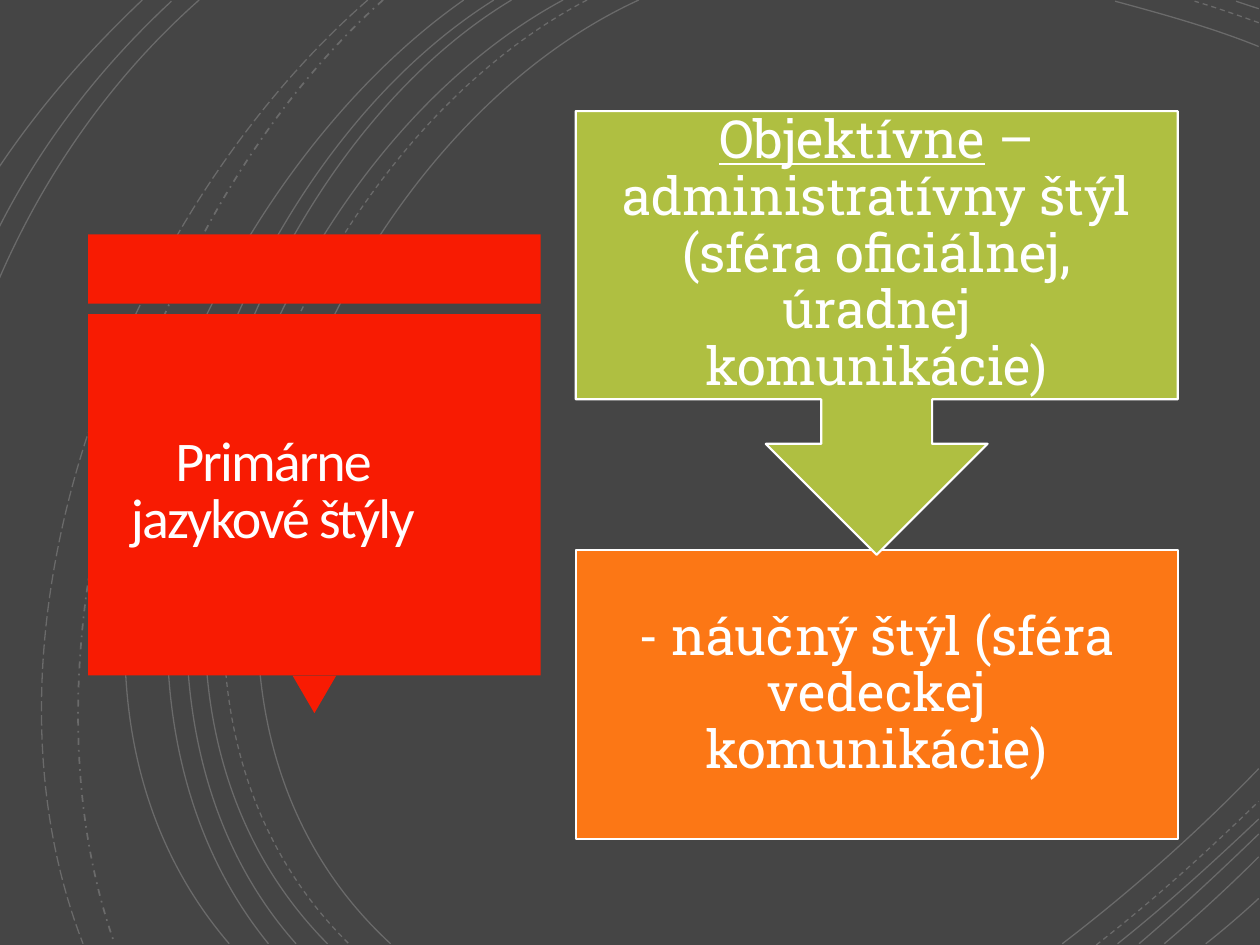
from dataclasses import dataclass

from lxml import etree
from pptx import Presentation
from pptx.dml.color import RGBColor
from pptx.enum.dml import MSO_LINE
from pptx.enum.shapes import MSO_SHAPE
from pptx.enum.text import MSO_ANCHOR, PP_ALIGN
from pptx.oxml.ns import qn
from pptx.util import Pt

RECT, TRIANGLE = MSO_SHAPE.RECTANGLE, MSO_SHAPE.ISOSCELES_TRIANGLE
CALLOUT = MSO_SHAPE.DOWN_ARROW_CALLOUT
SOLID, DASH = MSO_LINE.SOLID, MSO_LINE.DASH
DASH_DOT, LONG_DASH = MSO_LINE.DASH_DOT, MSO_LINE.LONG_DASH
MIDDLE, CENTER = MSO_ANCHOR.MIDDLE, PP_ALIGN.CENTER


@dataclass(frozen=True)
class Theme:
    """Colours, fonts and sizes of the slide."""
    back: RGBColor = RGBColor(0x45, 0x45, 0x45)
    red: RGBColor = RGBColor(0xF8, 0x1B, 0x02)
    green: RGBColor = RGBColor(0xAF, 0xBF, 0x41)
    orange: RGBColor = RGBColor(0xFC, 0x77, 0x15)
    white: RGBColor = RGBColor(0xFF, 0xFF, 0xFF)
    title_white: RGBColor = RGBColor(0xFF, 0xFE, 0xFF)
    title_font: str = "Calibri"
    body_font: str = "Roboto Slab"
    title_size: float = 32
    body_size: float = 30


THEME = Theme()

ARCS = [
    (SOLID, [(365, 0), (184.3, 82.8), (59.8, 388.8), (223.2, 539.3)]),
    (SOLID, [(719.3, 26.6), (692.6, 15.8), (663.8, 7.9), (637.2, 0.7)]),
    (SOLID, [(607, 539.3), (646.6, 509), (684.7, 475.2), (719.3, 439.2)]),
    (DASH, [(335.5, 0), (162.7, 90), (45.4, 387.4), (199.4, 539.3)]),
    (DASH, [(719.3, 13), (707, 8.6), (694.8, 4.3), (682.6, 0.7)]),
    (DASH, [(626.4, 540), (658.8, 514.8), (689.8, 486.7), (719.3, 457.9)]),
    (SOLID, [(321.8, 0), (151.9, 91.4), (36, 386.6), (187.2, 539.3)]),
    (SOLID, [(719.3, 5), (715, 3.6), (710.6, 2.2), (706.3, 0.7)]),
    (SOLID, [(638.6, 539.3), (666.7, 517), (693.4, 492.5), (719.3, 468)]),
    (SOLID, [(292.3, 0), (133.2, 95.8), (36, 389.5), (169.2, 539.3)]),
    (SOLID, [(650.9, 539.3), (674.6, 519.1), (697, 498.2), (719.3, 476.6)]),
    (SOLID, [(282.2, 0), (123.8, 99.4), (27.4, 384.5), (153.4, 539.3)]),
    (SOLID, [(665.3, 539.3), (684, 523.4), (702, 506.9), (719.3, 489.6)]),
    (SOLID, [(265, 0), (113.8, 105.8), (-5, 380.9), (131, 539.3)]),
    (SOLID, [(689, 539.3), (699.1, 531.4), (709.2, 522.7), (719.3, 513.4)]),
    (DASH_DOT, [(218.9, 0), (84.2, 119.5), (4.3, 366.5), (65.5, 539.3)]),
    (LONG_DASH, [(210.2, 0), (70.6, 121.7), (-22.3, 359.3), (47.5, 539.3)]),
    (SOLID, [(113.8, 0), (63.4, 44.6), (25.2, 100), (-0.7, 159.8)]),
    (SOLID, [(98, 0.7), (56.9, 38.9), (23.8, 82), (-0.7, 130.3)]),
    (SOLID, [(81.4, 0), (51, 28.8), (23, 60.5), (-0.7, 95.8)]),
]


def set_all(obj, values):
    """Set each attribute of obj named in values."""
    for name, value in values.items():
        setattr(obj, name, value)


def add_curve(s, points):
    """Add an open cubic curve through its start, two controls and end."""
    start, *rest = [(Pt(x), Pt(y)) for x, y in points]
    builder = s.shapes.build_freeform(*start)
    builder.add_line_segments(rest, close=False)
    sp = builder.convert_to_shape()
    outline = sp._element.find(".//" + qn("a:path"))
    lines = outline.findall(qn("a:lnTo"))
    curve = etree.SubElement(outline, qn("a:cubicBezTo"))
    for line in lines:
        curve.append(line[0])
        outline.remove(line)
    return sp


def add_arcs(s, box):
    """Draw the faint background arcs from the corner of the box."""
    x, y = box[:2]
    for dash, points in ARCS:
        sp = add_curve(s, [(x + px, y + py) for px, py in points])
        sp.shadow.inherit = False
        sp.fill.background()
        sp.line.color.rgb = THEME.white
        set_all(sp.line, {"width": Pt(1 if dash == DASH_DOT else 0.75),
                          "dash_style": dash})
        color = sp.line._ln.find(".//" + qn("a:srgbClr"))
        etree.SubElement(color, qn("a:alpha"), val="20000")


def add_block(s, kind, box, fill, outlined=False):
    """Add a filled shape, with a white outline if asked."""
    sp = s.shapes.add_shape(kind, *map(Pt, box))
    sp.shadow.inherit = False
    sp.fill.solid()
    sp.fill.fore_color.rgb = fill
    if outlined:
        sp.line.color.rgb = THEME.white
        sp.line.width = Pt(1.25)
    else:
        sp.line.fill.background()
    return sp


def write(sp, runs, inset, spacing, color, font):
    """Write one centred paragraph of (text, underline) runs."""
    tf = sp.text_frame
    sides = ("left", "top", "right", "bottom")
    set_all(tf, {"word_wrap": True, "vertical_anchor": MIDDLE,
                 **{f"margin_{side}": Pt(inset) for side in sides}})
    p = tf.paragraphs[0]
    set_all(p, {"alignment": CENTER, "line_spacing": spacing})
    for text, underline in runs:
        r = p.add_run()
        r.text = text
        set_all(r.font, {**font, "underline": underline})
        r.font.color.rgb = color
    return p


def add_title_panel(s, box):
    """Add the red panel with its top bar, pointer and title."""
    x, y, w, h = box
    bar, gap, tip, tip_w = 39.5, 6, 21.5, 25
    top = y + bar + gap
    body = h - bar - gap - tip
    add_block(s, RECT, (x, y, w, bar), THEME.red)
    pointer = add_block(s, TRIANGLE, (x + (w - tip_w) / 2, y + h - tip, tip_w, tip),
                        THEME.red)
    pointer.rotation = 180
    add_block(s, RECT, (x, top, w, body), THEME.red)
    title = s.shapes.add_textbox(*map(Pt, (x + 2, top + 5.5, w * 0.8, body - 13)))
    p = write(title, [("Primárne jazykové štýly", False)], 18, 0.85, THEME.title_white,
              {"name": THEME.title_font, "size": Pt(THEME.title_size)})
    p.runs[0].font._element.set("spc", "-110")


def add_style_flow(s, box):
    """Add the arrow callout above the box that it points to."""
    x, y, w, h = box
    block_h, callout_h = 165, 253.5
    font = {"name": THEME.body_font, "size": Pt(THEME.body_size)}
    objective = [("Objektívne", True),
                 (" – administratívny štýl (sféra oficiálnej, úradnej komunikácie)", False)]
    scholarly = [("- náučný štýl (sféra vedeckej komunikácie)", False)]
    parts = [
        (RECT, (x, y + h - block_h, w, block_h), THEME.orange, scholarly),
        (CALLOUT, (x, y, w, callout_h), THEME.green, objective),
    ]
    for kind, area, fill, runs in parts:
        sp = add_block(s, kind, area, fill, outlined=True)
        write(sp, runs, 16.8, 0.9, THEME.white, font)


def main():
    """Build the slide and save it."""
    prs = Presentation()
    set_all(prs, {"slide_width": Pt(720), "slide_height": Pt(540)})
    s = prs.slides.add_slide(prs.slide_layouts[6])
    s.background.fill.solid()
    s.background.fill.fore_color.rgb = THEME.back
    add_arcs(s, (0, 0, 720, 540))
    add_title_panel(s, (50.4, 134, 258.5, 273.5))
    add_style_flow(s, (329, 63.5, 344, 416))
    prs.save("out.pptx")


if __name__ == "__main__":
    main()
